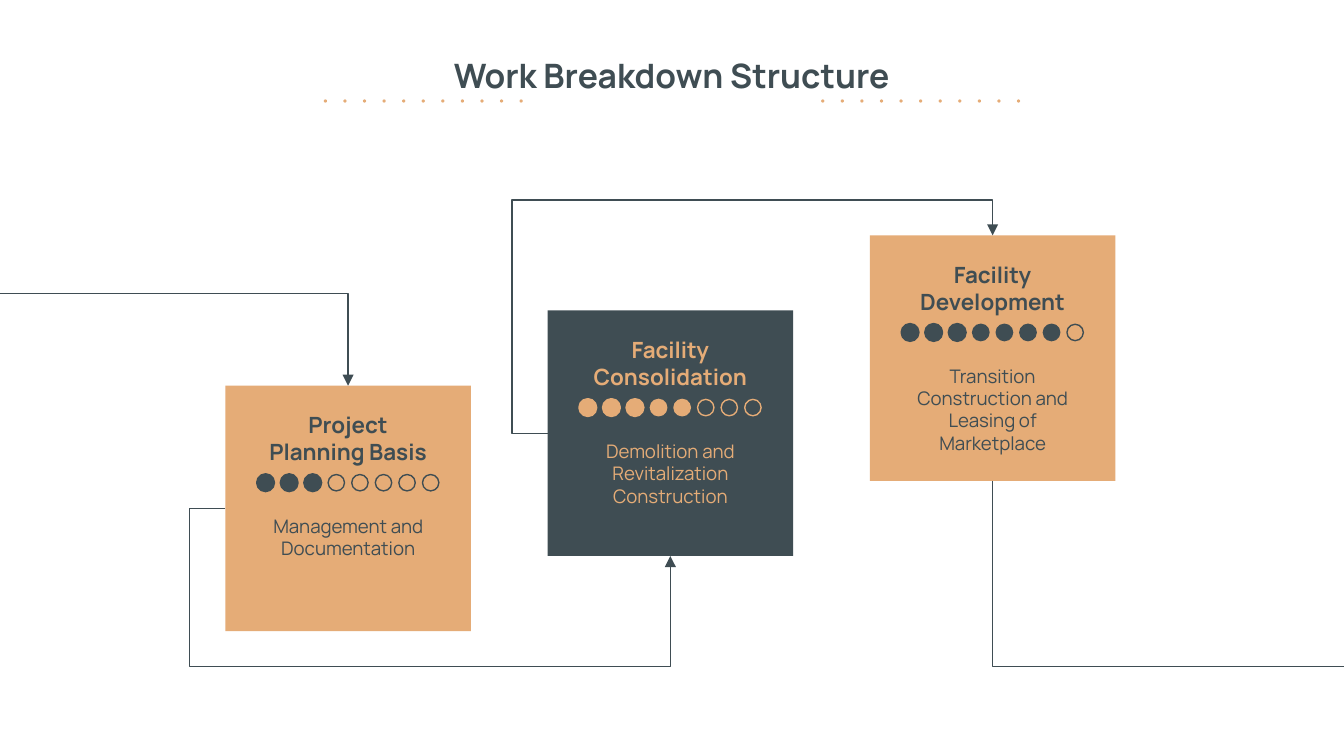
from lxml import etree
from pptx import Presentation
from pptx.dml.color import RGBColor
from pptx.enum.shapes import MSO_CONNECTOR, MSO_SHAPE
from pptx.enum.text import MSO_ANCHOR, MSO_AUTO_SIZE, PP_ALIGN
from pptx.oxml.ns import qn
from pptx.util import Cm, Pt

COLOURS = {"slate": "3F4D53", "sand": "E5AC77"}
FONT = "Manrope"
TITLE = "Work Breakdown Structure"
CARDS = [
    {"heading": "Project Planning Basis", "detail": "Management and Documentation",
     "score": 3, "fill": "sand", "ink": "slate"},
    {"heading": "Facility Consolidation",
     "detail": "Demolition and Revitalization Construction",
     "score": 5, "fill": "slate", "ink": "sand"},
    {"heading": "Facility Development",
     "detail": "Transition Construction and Leasing of Marketplace",
     "score": 7, "fill": "sand", "ink": "slate"},
]
HEADING_FORMAT = {"name": FONT, "size": Pt(12), "bold": True}
DETAIL_FORMAT = {"name": FONT, "size": Pt(10), "bold": False}
TITLE_FORMAT = {"name": FONT, "size": Pt(18), "bold": True}

# All lengths below are centimetres.
PAGE_WIDTH, PAGE_HEIGHT = 25.4, 14.29
CARD_LEFT, CARD_TOP, CARD_SIZE = 4.26, 7.29, 4.64
STEP_RIGHT, STEP_UP = 6.09, 1.42
MARGIN = 0.67  # distance the connectors keep from the cards
DOT_COUNT, DOT_SIZE, DOT_ROW_WIDTH, THICK_DOTS = 8, 0.31, 3.43, 3
RULE_STARTS, RULE_DOTS, RULE_PITCH = (15.52, 6.12), 11, 0.37


def colour(name):
    return RGBColor.from_string(COLOURS[name])


def write(box, text, formats, ink, anchor=MSO_ANCHOR.TOP, space_after=0):
    frame = box.text_frame
    settings = {"word_wrap": True, "auto_size": MSO_AUTO_SIZE.NONE,
                "vertical_anchor": anchor}
    for side in ("left", "top", "right", "bottom"):
        settings["margin_" + side] = Cm(0.25)
    for name, value in settings.items():
        setattr(frame, name, value)
    para = frame.paragraphs[0]
    para.alignment = PP_ALIGN.CENTER
    para.space_after = Pt(space_after)
    span = para.add_run()
    span.text = text
    for name, value in formats.items():
        setattr(span.font, name, value)
    span.font.color.rgb = colour(ink)


def add_solid(shapes, kind, left, top, width, height, fill=None, outline=None, weight=0.75):
    shape = shapes.add_shape(kind, Cm(left), Cm(top), Cm(width), Cm(height))
    shape.shadow.inherit = False
    if fill:
        shape.fill.solid()
        shape.fill.fore_color.rgb = colour(fill)
    else:
        shape.fill.background()
    if outline:
        shape.line.color.rgb = colour(outline)
        shape.line.width = Pt(weight)
    else:
        shape.line.fill.background()


def add_elbow(page, start, end, bends, turn=0, flip=False, arrow=None):
    """Route a bent connector; bends are fractions of its box, turn is in degrees."""
    (x1, y1), (x2, y2) = start, end
    width, height = abs(x2 - x1), abs(y2 - y1)
    if turn in (90, 270):
        width, height = height, width
    left, top = (x1 + x2 - width) / 2, (y1 + y2 - height) / 2
    link = page.shapes.add_connector(MSO_CONNECTOR.ELBOW, Cm(left), Cm(top),
                                     Cm(left + width), Cm(top + height))
    link.line.color.rgb = colour("slate")
    link.line.width = Pt(0.75)
    properties = link._element.spPr
    frame = properties.find(qn("a:xfrm"))
    frame.set("rot", str(turn * 60000))
    if flip:
        frame.set("flipH", "1")
    geometry = properties.find(qn("a:prstGeom"))
    geometry.set("prst", f"bentConnector{len(bends) + 2}")
    guides = geometry.find(qn("a:avLst"))
    for number, bend in enumerate(bends, 1):
        etree.SubElement(guides, qn("a:gd"), name=f"adj{number}",
                         fmla=f"val {round(bend * 100000)}")
    if arrow:
        etree.SubElement(properties.find(qn("a:ln")), qn(f"a:{arrow}End"), type="triangle")
    etree.SubElement(properties, qn("a:effectLst"))


def add_text(page, middle, top, width, height, *content, **options):
    box = page.shapes.add_textbox(Cm(middle - width / 2), Cm(top), Cm(width), Cm(height))
    write(box, *content, **options)


def add_score(page, middle, top, score, ink):
    row = page.shapes.add_group_shape()
    pitch = (DOT_ROW_WIDTH - DOT_SIZE) / (DOT_COUNT - 1)
    for index in range(DOT_COUNT):
        add_solid(row.shapes, MSO_SHAPE.OVAL, middle - DOT_ROW_WIDTH / 2 + index * pitch,
                  top, DOT_SIZE, DOT_SIZE, fill=ink if index < score else None,
                  outline=ink, weight=1.5 if index < min(score, THICK_DOTS) else 0.75)


def add_links(page, corners):
    half = CARD_SIZE / 2
    (left0, top0), (left1, top1), (left2, top2) = corners
    lane = top0 + CARD_SIZE + MARGIN
    run, rise = STEP_RIGHT + half, half - STEP_UP
    add_elbow(page, (left0, top0 + half), (left1 + half, top1 + CARD_SIZE),
              [-MARGIN / run, (half + MARGIN) / rise], arrow="tail")
    rise = half + STEP_UP
    add_elbow(page, (left1, top1 + half), (left2 + half, top2),
              [-MARGIN / run, 1 + MARGIN / rise], turn=180, flip=True, arrow="tail")
    add_elbow(page, (left2 + half, top2 + CARD_SIZE), (PAGE_WIDTH + 0.7, lane),
              [], turn=270, flip=True)
    add_elbow(page, (left0 + half, top0), (-0.25, 5.55),
              [], turn=90, flip=True, arrow="head")


def main():
    deck = Presentation()
    deck.slide_width, deck.slide_height = Cm(PAGE_WIDTH), Cm(PAGE_HEIGHT)
    page = deck.slides.add_slide(deck.slide_layouts.get_by_name("Title Only"))

    title = page.shapes.title
    place = {"left": 4.72, "top": 0.79, "width": 15.95, "height": 1.6}
    for name, value in place.items():
        setattr(title, name, Cm(value))
    write(title, TITLE, TITLE_FORMAT, "slate")

    for start in RULE_STARTS:
        rule = page.shapes.add_group_shape()
        for index in range(RULE_DOTS):
            add_solid(rule.shapes, MSO_SHAPE.OVAL, start + index * RULE_PITCH, 1.88,
                      0.06, 0.06, fill="sand")

    corners = [(CARD_LEFT + index * STEP_RIGHT, CARD_TOP - index * STEP_UP)
               for index in range(len(CARDS))]
    for card, (left, top) in zip(CARDS, corners):
        add_solid(page.shapes, MSO_SHAPE.RECTANGLE, left, top, CARD_SIZE, CARD_SIZE,
                  fill=card["fill"])
    add_links(page, corners)
    for card, (left, top) in zip(CARDS, corners):
        middle = left + CARD_SIZE / 2
        add_text(page, middle, top + 0.51, 3.86, 0.97, card["heading"], HEADING_FORMAT,
                 card["ink"], anchor=MSO_ANCHOR.MIDDLE)
        add_text(page, middle, top + 2.19, 3.73, 1.73, card["detail"], DETAIL_FORMAT,
                 card["ink"], space_after=16)
        add_score(page, middle, top + 1.68, card["score"], card["ink"])

    deck.save("out.pptx")


if __name__ == "__main__":
    main()
